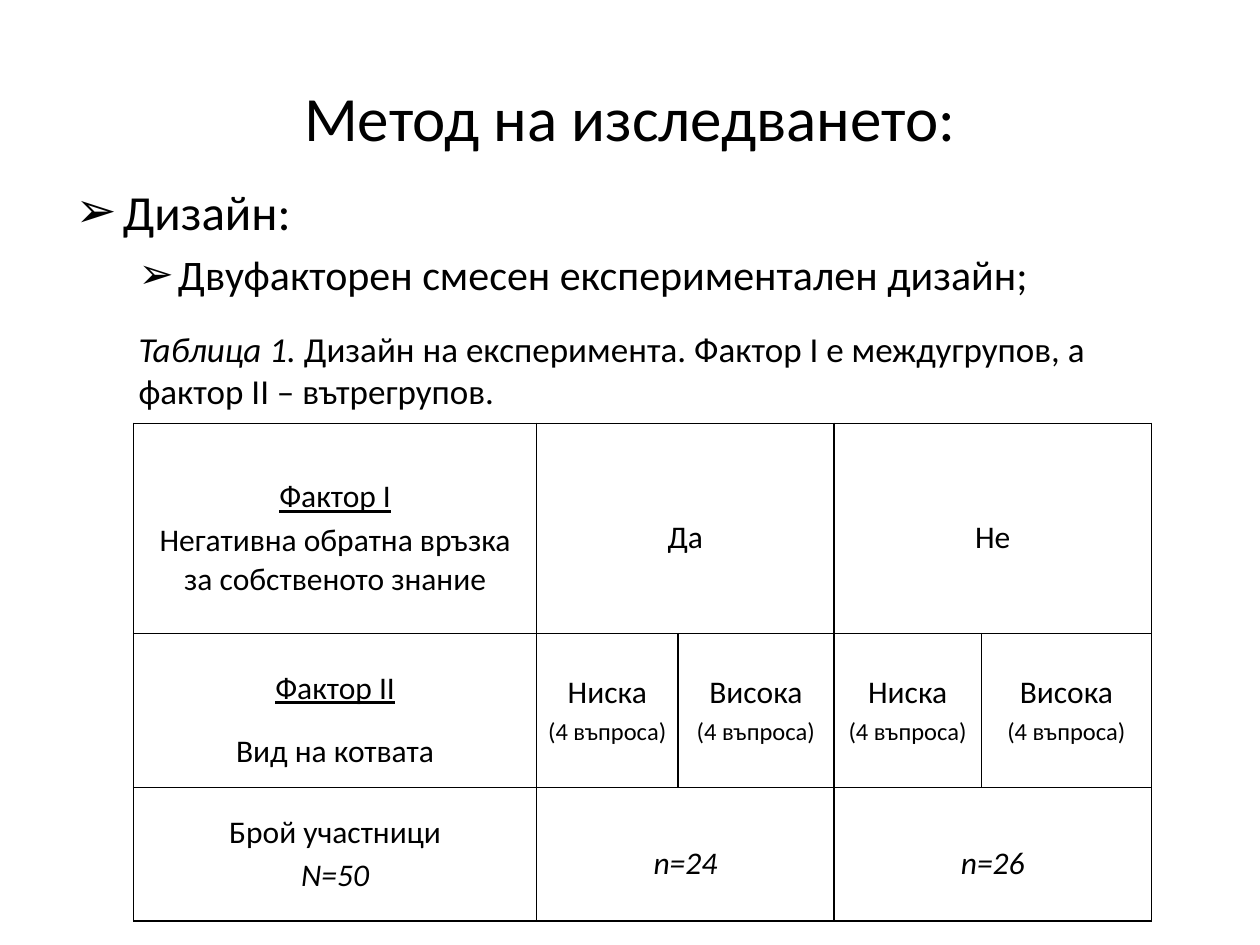
"""Build the slide on the two-factor mixed experimental design."""
from lxml import etree
from pptx import Presentation
from pptx import util as u
from pptx.dml.color import RGBColor
from pptx.enum import text
from pptx.oxml import ns

BLACK = RGBColor(0, 0, 0)
FONT = "Calibri"
PX = 9144
EDGES = ("a:lnL", "a:lnR", "a:lnT", "a:lnB")


def style(run, size, italic=False, under=False):
    font = run.font
    font.name, font.size, font.color.rgb = FONT, u.Pt(size), BLACK
    font.italic, font.underline = italic, under


def place(shape, *box):
    shape.left, shape.top, shape.width, shape.height = [n * PX for n in box]


deck = Presentation()
deck.slide_width, deck.slide_height = 1000 * PX, 750 * PX
slide = deck.slides.add_slide(deck.slide_layouts[1])

title, body = slide.placeholders
place(title, 50, 30, 900, 125)
title.text_frame.text = "Метод на изследването:"
title.text_frame.auto_size = text.MSO_AUTO_SIZE.NONE
style(title.text_frame.paragraphs[0].runs[0], 36)

place(body, 50, 139, 900, 531)
frame = body.text_frame
frame.auto_size = text.MSO_AUTO_SIZE.NONE
lines = [
    (0, "➢", [("Дизайн:", 28, False)]),
    (1, "➢", [("Двуфакторен смесен експериментален дизайн;", 24, False)]),
    (1, None, [
        ("Таблица 1.", 20, True),
        (" Дизайн на експеримента. Фактор I е междугрупов, а фактор II – вътрегрупов.", 20, False),
    ]),
]
for i, (level, mark, parts) in enumerate(lines):
    para = frame.paragraphs[0] if i == 0 else frame.add_paragraph()
    para.level = level
    for words, size, italic in parts:
        run = para.add_run()
        run.text = words
        style(run, size, italic)
    props = para._p.get_or_add_pPr()
    if mark:
        if level:
            para.space_after = u.Pt(12)
        etree.SubElement(props, ns.qn("a:buFont")).set("typeface", "Wingdings 3")
        props[-1].set("typeface", "Arial")
        etree.SubElement(props, ns.qn("a:buChar")).set("char", mark)
    else:
        props.set("marL", str(50 * PX))
        props.set("indent", "0")
        etree.SubElement(props, ns.qn("a:buNone"))

cols = [320, 112, 124, 117, 135]
rows = [167, 122, 106]
table = slide.shapes.add_table(
    len(rows), len(cols), 106 * PX, 336 * PX, sum(cols) * PX, sum(rows) * PX).table
table.first_row = table.horz_banding = False
for col, width in zip(table.columns, cols):
    col.width = width * PX
for row, height in zip(table.rows, rows):
    row.height = height * PX
for r in (0, 2):
    for c in (1, 3):
        table.cell(r, c).merge(table.cell(r, c + 1))

for cell in table.iter_cells():
    cell.fill.background()
    cell.vertical_anchor = text.MSO_ANCHOR.MIDDLE
    cell.margin_left = cell.margin_right = 7 * PX
    cell.margin_top = cell.margin_bottom = 0
    props = cell._tc.get_or_add_tcPr()
    for i, edge in enumerate(EDGES):
        line = etree.Element(ns.qn(edge), w=str(u.Pt(1)))
        fill = etree.SubElement(line, ns.qn("a:solidFill"))
        etree.SubElement(fill, ns.qn("a:srgbClr"), val=str(BLACK))
        props.insert(i, line)

low = [("Ниска", 18, "", 1), ("(4 въпроса)", 14, "", 1)]
high = [("Висока", 18, "", 1), ("(4 въпроса)", 14, "", 1)]
cells = {
    (0, 0): [("Фактор I", 18, "u", 1.5),
             ("Негативна обратна връзка за собственото знание", 18, "", 1)],
    (0, 1): [("Да", 18, "", 1.5)],
    (0, 3): [("Не", 18, "", 1.5)],
    (1, 0): [("Фактор II", 18, "u", 1.5), ("Вид на котвата", 18, "", 1.5)],
    (1, 1): low,
    (1, 2): high,
    (1, 3): low,
    (1, 4): high,
    (2, 0): [("Брой участници", 18, "", 1), ("N=50", 18, "i", 1)],
    (2, 1): [("n=24", 18, "i", 1.5)],
    (2, 3): [("n=26", 18, "i", 1.5)],
}
for (r, c), paras in cells.items():
    frame = table.cell(r, c).text_frame
    frame.text = "\n".join(para[0] for para in paras)
    for para, (_, size, look, gap) in zip(frame.paragraphs, paras):
        para.alignment = text.PP_ALIGN.CENTER
        para.line_spacing = gap
        if len(paras) == 1:
            para.space_after = u.Pt(6)
        else:
            para.space_before = u.Pt(3)
        style(para.runs[0], size, look == "i", look == "u")

deck.save("out.pptx")
